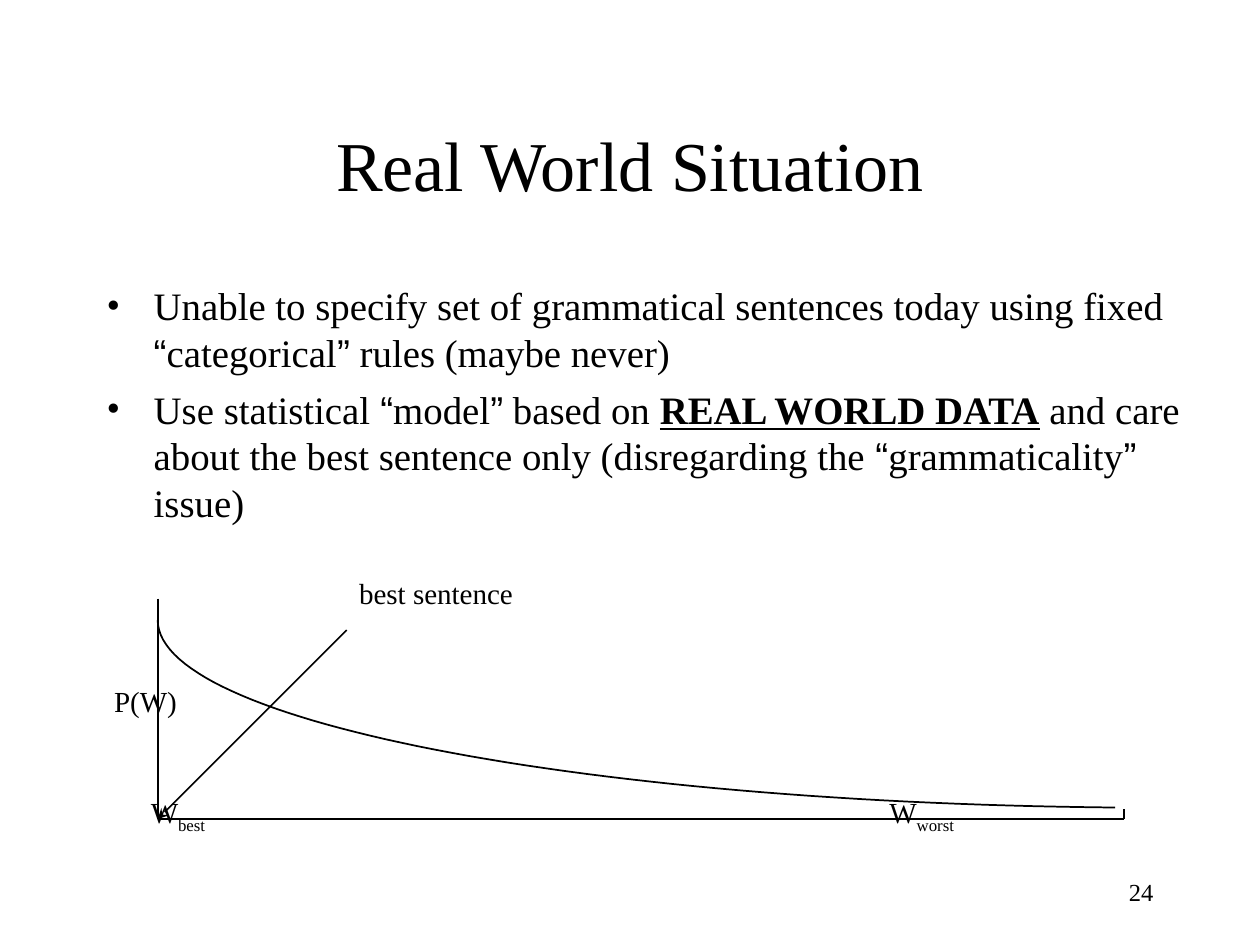
from lxml import etree
from pptx import Presentation
from pptx.dml.color import RGBColor
from pptx.enum.shapes import MSO_CONNECTOR
from pptx.enum.text import MSO_ANCHOR, PP_ALIGN
from pptx.oxml.ns import qn
from pptx.util import Cm, Pt

STRAIGHT = MSO_CONNECTOR.STRAIGHT
TOP, MIDDLE = MSO_ANCHOR.TOP, MSO_ANCHOR.MIDDLE
LEFT, CENTER, RIGHT = PP_ALIGN.LEFT, PP_ALIGN.CENTER, PP_ALIGN.RIGHT
SERIF, SANS = "Times New Roman", "Arial"
COLORS = {"ink": "000000", "paper": "FFFFFF"}

# Content; text between underscores is emphasised
TITLE = "Real World Situation"
BULLETS = [
    "Unable to specify set of grammatical sentences today using fixed "
    "“categorical” rules (maybe never)",
    "Use statistical “model” based on _REAL WORLD DATA_ and care about the "
    "best sentence only (disregarding the “grammaticality” issue)",
]
# Graph labels: text, subscript, left, top (cm)
LABELS = [
    ("best sentence", "", 7.24, 11.6),
    ("P(W)", "", 2.3, 13.77),
    ("W", "best", 3.04, 16.02),
    ("W", "worst", 17.93, 16.02),
]
# Graph geometry (cm)
ORIGIN = (3.18, 16.51)
AXIS_TOP, AXIS_RIGHT, TICK_TOP = 12.07, 22.66, 16.3
POINTER_END = (6.99, 12.7)
CURVE = [(22.48, 16.28), (11.66, 16.18), (3.18, 14.53), (3.18, 12.5)]
CURVE_STEPS = 60


def color(name):
    return RGBColor.from_string(COLORS[name])


def setup_frame(s, anchor, inset_x=0.25, inset_y=0.13):
    tf = s.text_frame
    settings = {"word_wrap": True, "vertical_anchor": anchor,
                "margin_left": Cm(inset_x), "margin_right": Cm(inset_x),
                "margin_top": Cm(inset_y), "margin_bottom": Cm(inset_y)}
    for key, value in settings.items():
        setattr(tf, key, value)
    return tf


def add_run(p, text, size, name=SERIF, **extra):
    r = p.add_run()
    r.text = text
    for key, value in {"size": Pt(size), "name": name, **extra}.items():
        setattr(r.font, key, value)
    r.font.color.rgb = color("ink")
    return r


def add_rich_text(p, text, size):
    for i, part in enumerate(text.split("_")):
        strong = i % 2 == 1
        for piece in part.replace("“", "|“|").replace("”", "|”|").split("|"):
            if piece:
                add_run(p, piece, size, SANS if piece in "“”" else SERIF,
                        bold=strong, underline=strong)


def add_bullet(p):
    pPr = p._p.get_or_add_pPr()
    pPr.set("marL", str(Cm(0.95)))
    pPr.set("indent", str(-Cm(0.95)))
    etree.SubElement(pPr, qn("a:buFont")).set("typeface", SERIF)
    etree.SubElement(pPr, qn("a:buChar")).set("char", "•")


def add_line(slide, start, end):
    s = slide.shapes.add_connector(STRAIGHT, *(Cm(v) for v in start + end))
    s.line.color.rgb = color("ink")
    s.line.width = Pt(1)
    etree.SubElement(s._element.spPr, qn("a:effectLst"))
    return s


def bezier(points, t):
    weights = ((1 - t) ** 3, 3 * t * (1 - t) ** 2, 3 * t * t * (1 - t), t ** 3)
    return tuple(Cm(sum(w * pt[axis] for w, pt in zip(weights, points)))
                 for axis in (0, 1))


def add_graph(slide):
    # Axes and end tick
    x, y = ORIGIN
    add_line(slide, (x, AXIS_TOP), ORIGIN)
    add_line(slide, ORIGIN, (AXIS_RIGHT, y))
    add_line(slide, (AXIS_RIGHT, y), (AXIS_RIGHT, TICK_TOP))

    # Probability curve
    points = [bezier(CURVE, i / CURVE_STEPS) for i in range(CURVE_STEPS + 1)]
    builder = slide.shapes.build_freeform(*points[0])
    builder.add_line_segments(points[1:], close=False)
    s = builder.convert_to_shape()
    s.shadow.inherit = False
    s.fill.background()
    s.line.color.rgb = color("ink")
    s.line.width = Pt(1)

    # Pointer to the best sentence
    pointer = add_line(slide, ORIGIN, POINTER_END)
    ln = pointer.line._get_or_add_ln()
    etree.SubElement(ln, qn("a:headEnd")).set("type", "stealth")

    # Labels
    for text, sub, left, top in LABELS:
        s = slide.shapes.add_textbox(Cm(left), Cm(top), Cm(4.5), Cm(0.75))
        p = setup_frame(s, TOP, 0, 0).paragraphs[0]
        p.alignment = LEFT
        add_run(p, text, 16.6)
        if sub:
            r = add_run(p, sub, 16.6)
            r.font._element.set("baseline", "-25000")


def main():
    prs = Presentation()
    prs.slide_width, prs.slide_height = Cm(25.4), Cm(19.05)
    slide = prs.slides.add_slide(prs.slide_layouts[5])
    slide.background.fill.solid()
    slide.background.fill.fore_color.rgb = color("paper")

    # Title
    s = slide.shapes.title
    s.left, s.top, s.width, s.height = Cm(1.9), Cm(1.7), Cm(21.6), Cm(3.18)
    p = setup_frame(s, MIDDLE).paragraphs[0]
    p.alignment = CENTER
    add_run(p, TITLE, 40)

    # Bullets
    s = slide.shapes.add_textbox(Cm(1.9), Cm(5.55), Cm(22.43), Cm(5.5))
    tf = setup_frame(s, TOP)
    for i, text in enumerate(BULLETS):
        p = tf.add_paragraph() if i else tf.paragraphs[0]
        if i:
            p.space_before = Pt(6)
        add_bullet(p)
        add_rich_text(p, text, 22.2)

    add_graph(slide)

    # Slide number
    s = slide.shapes.add_textbox(Cm(18.2), Cm(17.35), Cm(5.3), Cm(1.27))
    p = setup_frame(s, MIDDLE).paragraphs[0]
    p.alignment = RIGHT
    add_run(p, "24", 14)

    prs.save("out.pptx")


if __name__ == "__main__":
    main()
